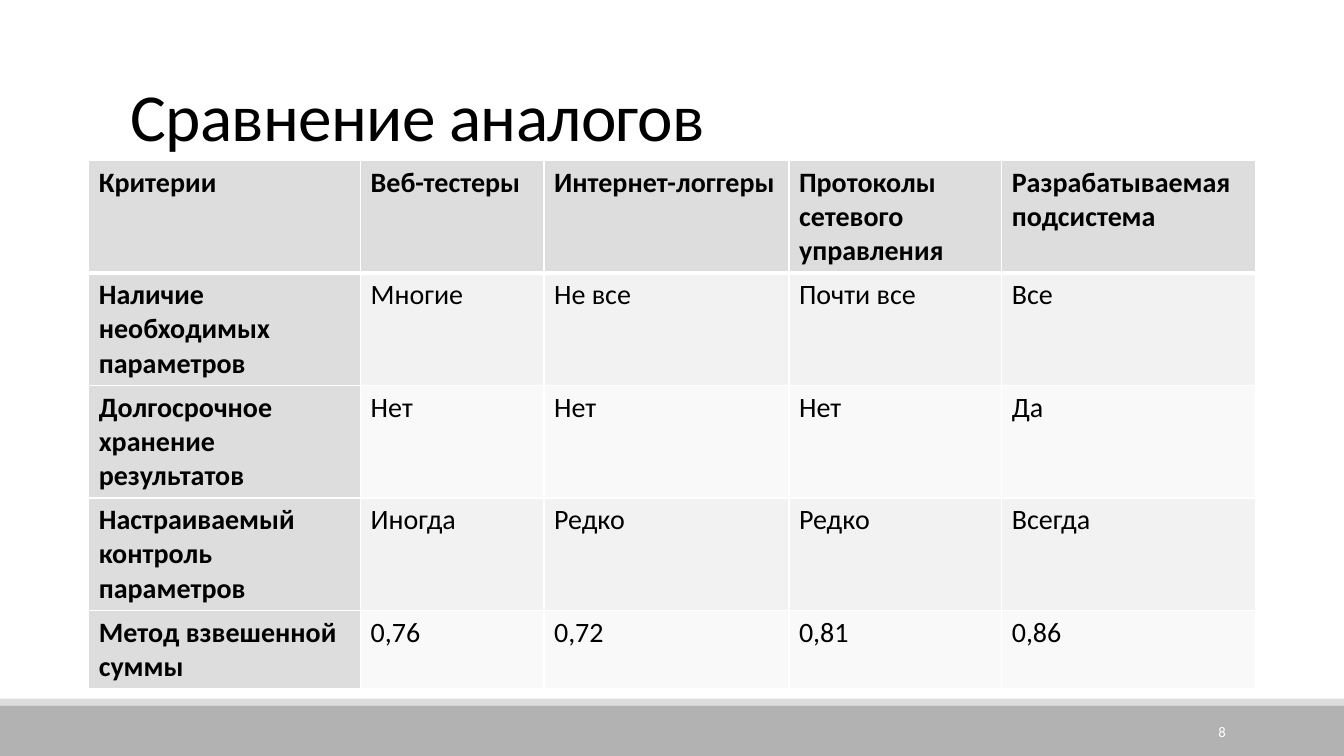
import pptx
import pptx.dml.color
import pptx.enum.shapes
import pptx.enum.text
import pptx.oxml
import pptx.oxml.ns
import pptx.util

Pt = pptx.util.Pt
ANCHOR = pptx.enum.text.MSO_ANCHOR
ALIGN = pptx.enum.text.PP_ALIGN

SLIDE_WIDTH, SLIDE_HEIGHT = 960, 540
COLUMN_WIDTHS = [194.2, 131, 175, 152, 181.6]
ROW_HEIGHTS = [80.4] * 4 + [56]
COMPARISON = [
    ["Критерии", "Веб-тестеры", "Интернет-логгеры",
     "Протоколы сетевого управления", "Разрабатываемая подсистема"],
    ["Наличие необходимых параметров", "Многие", "Не все", "Почти все", "Все"],
    ["Долгосрочное хранение результатов", "Нет", "Нет", "Нет", "Да"],
    ["Настраиваемый\nконтроль параметров", "Иногда", "Редко", "Редко", "Всегда"],
    ["Метод взвешенной суммы", "0,76", "0,72", "0,81", "0,86"],
]


def color(hex_string):
    return pptx.dml.color.RGBColor.from_string(hex_string)


def write(frame, text, size=20, ink="000000", bold=False, align=ALIGN.LEFT,
          anchor=ANCHOR.TOP, line_spacing=None, tracking=None):
    frame.word_wrap = True
    frame.vertical_anchor = anchor
    frame.text = text
    for paragraph in frame.paragraphs:
        paragraph.alignment = align
        paragraph.line_spacing = line_spacing
        for run in paragraph.runs:
            run.font.name = "Calibri"
            run.font.size = Pt(size)
            run.font.bold = bold
            run.font.color.rgb = color(ink)
            if tracking is not None:
                run.font._element.set("spc", str(int(tracking * 100)))


def add_text(slide, box, text, **text_format):
    frame = slide.shapes.add_textbox(*map(Pt, box)).text_frame
    write(frame, text, **text_format)


def add_band(slide, box, fill):
    band = slide.shapes.add_shape(
        pptx.enum.shapes.MSO_SHAPE.RECTANGLE, *map(Pt, box))
    band.shadow.inherit = False
    band.fill.solid()
    band.fill.fore_color.rgb = color(fill)
    band.line.fill.background()


def add_footer(slide, box, number):
    left, top, width, height = box
    stripe_height = 5
    # Light stripe above the dark band
    add_band(slide, (left, top, width, stripe_height), "DDDDDD")
    add_band(slide, (left, top + stripe_height, width, height - stripe_height), "B2B2B2")
    # Slide number
    add_text(slide, (left + width - 180, top + 9.4, 102.7, 28.8), number,
             size=10.5, ink="FFFFFF", align=ALIGN.RIGHT, anchor=ANCHOR.MIDDLE)


def set_borders(cell, **widths):
    properties = cell._tc.get_or_add_tcPr()
    for position, side in enumerate("LRTB"):
        border = pptx.oxml.parse_xml(
            f'<a:ln{side} {pptx.oxml.ns.nsdecls("a")} w="{Pt(widths.get(side, 1))}">'
            '<a:solidFill><a:srgbClr val="FFFFFF"/></a:solidFill>'
            f'</a:ln{side}>')
        properties.insert(position, border)


def add_comparison(slide, box):
    table = slide.shapes.add_table(
        len(COMPARISON), len(COLUMN_WIDTHS), *map(Pt, box)).table
    table.horz_banding = False
    table.first_col = True
    for column, width in zip(table.columns, COLUMN_WIDTHS):
        column.width = Pt(width)
    for row, height in zip(table.rows, ROW_HEIGHTS):
        row.height = Pt(height)

    for r, criteria in enumerate(COMPARISON):
        for c, text in enumerate(criteria):
            cell = table.cell(r, c)
            heading = r == 0 or c == 0
            write(cell.text_frame, text, bold=heading)
            cell.fill.solid()
            body_fill = "F2F2F2" if r % 2 else "F9F9F9"
            cell.fill.fore_color.rgb = color("DDDDDD" if heading else body_fill)
            # Thick rule below the header row
            set_borders(cell, B=3 if r == 0 else 1, T=3 if r == 1 else 1)


def main():
    presentation = pptx.Presentation()
    presentation.slide_width = Pt(SLIDE_WIDTH)
    presentation.slide_height = Pt(SLIDE_HEIGHT)
    slide = presentation.slides.add_slide(presentation.slide_layouts[6])

    add_footer(slide, (0, 499, SLIDE_WIDTH, 41), "8")
    # Title
    add_text(slide, (86.4, 22.3, 792, 92.2), "Сравнение аналогов", size=48,
             anchor=ANCHOR.BOTTOM, line_spacing=0.85, tracking=-0.5)
    add_comparison(slide, (63.4, 114.5, sum(COLUMN_WIDTHS), sum(ROW_HEIGHTS)))

    presentation.save("out.pptx")


if __name__ == "__main__":
    main()
